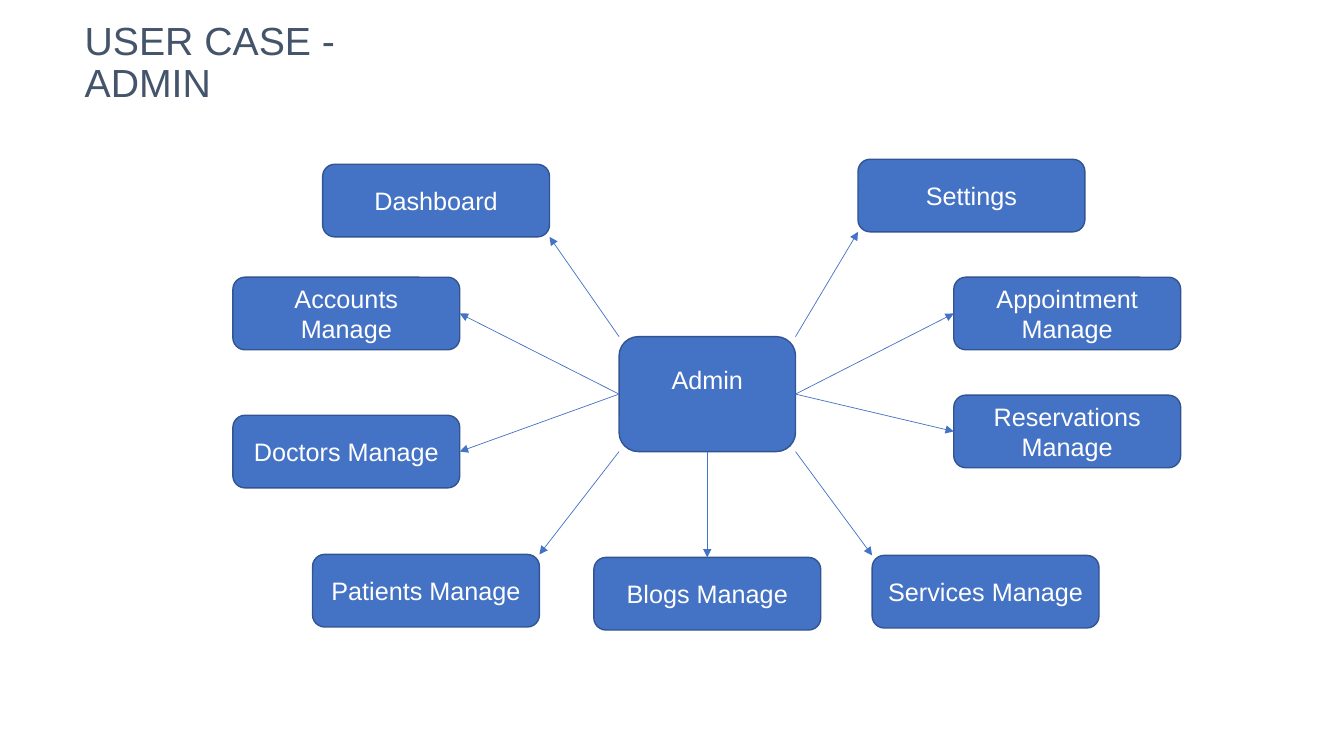
from lxml.etree import SubElement
from pptx import Presentation
from pptx.dml.color import RGBColor
from pptx.enum.shapes import MSO_CONNECTOR as Connector, MSO_SHAPE as Shape
from pptx.enum.text import MSO_ANCHOR as Anchor, MSO_AUTO_SIZE as AutoSize, PP_ALIGN as Align
from pptx.oxml.ns import qn
from pptx.util import Inches, Pt

TITLE = "USER CASE - ADMIN"
ADMIN = (6.14, 3.34, 1.75, 1.14)
FEATURE_SIZE = (2.25, 0.72)

# Points on a box, as fractions of its width and height
TOP, LEFT, BOTTOM, RIGHT = (0.5, 0), (0, 0.5), (0.5, 1), (1, 0.5)
TOP_LEFT, TOP_RIGHT, BOTTOM_LEFT, BOTTOM_RIGHT = (0, 0), (1, 0), (0, 1), (1, 1)
SIDES = [TOP, LEFT, BOTTOM, RIGHT]

# Label, left, top, arrow start on Admin, arrow end on the feature
FEATURES = [
    ("Dashboard", 3.2, 1.63, TOP_LEFT, BOTTOM_RIGHT),
    ("Accounts Manage", 2.31, 2.75, LEFT, RIGHT),
    ("Doctors Manage", 2.31, 4.12, LEFT, RIGHT),
    ("Patients Manage", 3.1, 5.5, BOTTOM_LEFT, TOP_RIGHT),
    ("Blogs Manage", 5.89, 5.53, BOTTOM, TOP),
    ("Services Manage", 8.65, 5.51, BOTTOM_RIGHT, TOP_LEFT),
    ("Reservations Manage", 9.46, 3.92, RIGHT, LEFT),
    ("Appointment Manage", 9.46, 2.75, RIGHT, LEFT),
    ("Settings", 8.51, 1.58, TOP_RIGHT, BOTTOM_LEFT),
]
BLUE, BORDER, WHITE, SLATE = "4472C4", "325491", "FFFFFF", "44546A"


def color(value):
    return RGBColor.from_string(value)


def write(paragraph, text, size, ink, align):
    paragraph.alignment = align
    run = paragraph.add_run()
    run.text = text
    run.font.name = "Arial"
    run.font.size = Pt(size)
    run.font.color.rgb = color(ink)


def add_box(slide, text, left, top, width, height):
    box = slide.shapes.add_shape(Shape.ROUNDED_RECTANGLE, *map(Inches, (left, top, width, height)))
    box.shadow.inherit = False
    box.fill.solid()
    box.fill.fore_color.rgb = color(BLUE)
    box.line.color.rgb = color(BORDER)
    box.line.width = Pt(1)
    frame = box.text_frame
    frame.word_wrap = True
    frame.vertical_anchor = Anchor.MIDDLE
    write(frame.paragraphs[0], text, 18, WHITE, Align.CENTER)
    return box


def point_on(box, spot):
    return int(box.left + spot[0] * box.width), int(box.top + spot[1] * box.height)


def add_arrow(slide, source, start, target, end):
    """Join two boxes, gluing each end that meets the middle of a side."""
    arrow = slide.shapes.add_connector(
        Connector.STRAIGHT, *point_on(source, start), *point_on(target, end))
    if start in SIDES:
        arrow.begin_connect(source, SIDES.index(start))
    if end in SIDES:
        arrow.end_connect(target, SIDES.index(end))
    arrow.line.color.rgb = color(BLUE)
    arrow.line.width = Pt(0.5)
    SubElement(arrow.line._get_or_add_ln(), qn("a:tailEnd"), type="triangle")
    SubElement(arrow._element.spPr, qn("a:effectLst"))


def main():
    deck = Presentation()
    deck.slide_width, deck.slide_height = Inches(13.33), Inches(7.5)
    slide = deck.slides.add_slide(deck.slide_layouts[5])

    title = slide.shapes.title
    title.left, title.top, title.width, title.height = map(Inches, (0.74, 0.4, 3.9, 0.47))
    heading = title.text_frame
    heading.word_wrap = True
    heading.auto_size = AutoSize.NONE
    heading.vertical_anchor = Anchor.MIDDLE
    heading.paragraphs[0].line_spacing = 0.9
    write(heading.paragraphs[0], TITLE, 28, SLATE, Align.LEFT)

    admin = add_box(slide, "Admin", *ADMIN)
    admin.text_frame.margin_bottom = Inches(0.35)

    for label, left, top, start, end in FEATURES:
        feature = add_box(slide, label, left, top, *FEATURE_SIZE)
        add_arrow(slide, admin, start, feature, end)

    deck.save("out.pptx")


if __name__ == "__main__":
    main()
